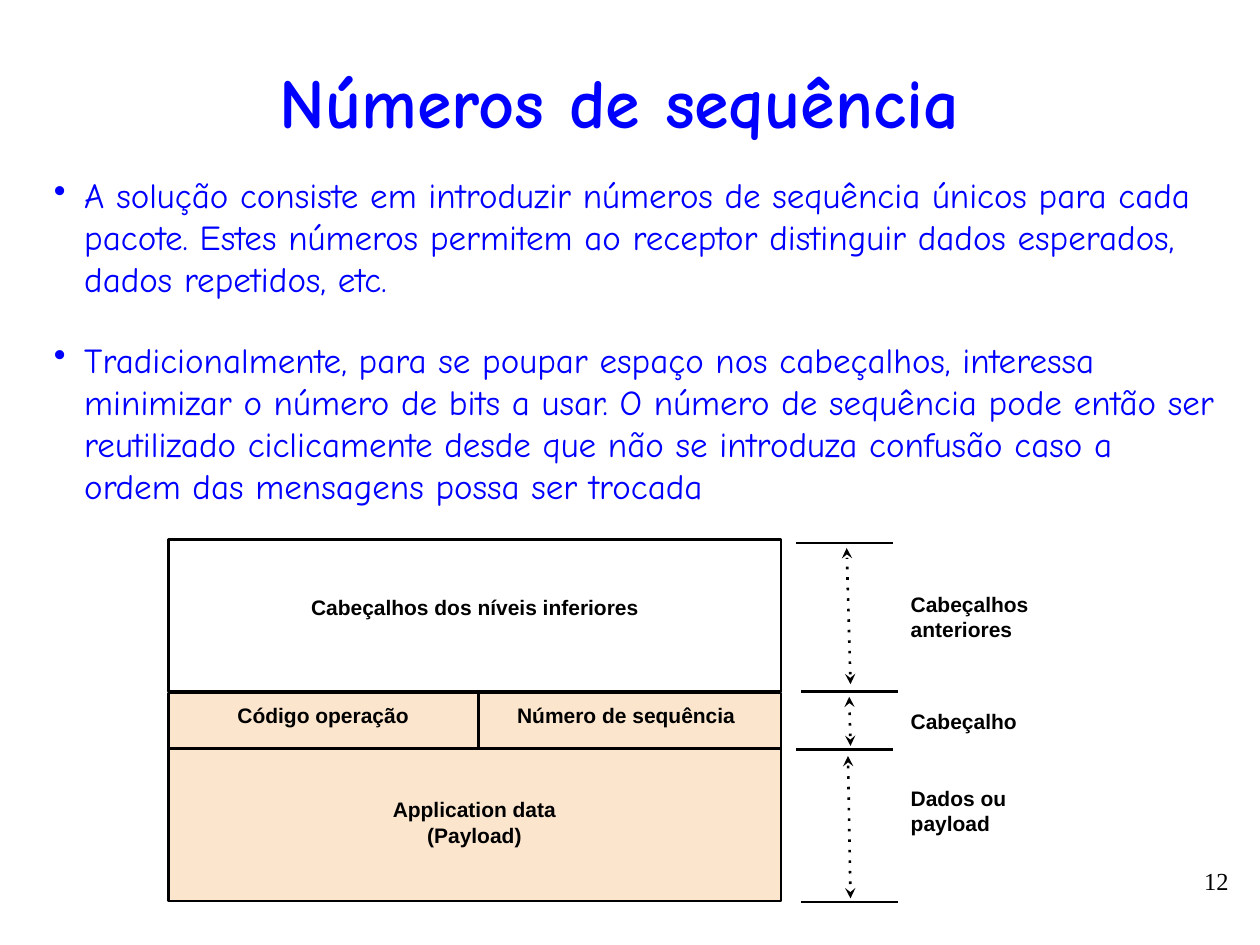
from pptx import Presentation
from pptx import util as u
from pptx.dml.color import RGBColor
from pptx.enum import shapes, text
from pptx.oxml.ns import qn
from lxml import etree

COLORS = {"blue": "0000FF", "black": "000000", "peach": "FCE5CD"}
BODY = [
    "A solução consiste em introduzir números de sequência únicos para cada pacote. "
    "Estes números permitem ao receptor distinguir dados esperados, dados repetidos, etc.",
    "Tradicionalmente, para se poupar espaço nos cabeçalhos, interessa minimizar o número "
    "de bits a usar. O número de sequência pode então ser reutilizado ciclicamente desde "
    "que não se introduza confusão caso a ordem das mensagens possa ser trocada",
]
LEFT, ALIGN, ANCHOR = text.PP_ALIGN.LEFT, text.PP_ALIGN, text.MSO_ANCHOR


def color(name):
    return RGBColor.from_string(COLORS[name])


def add_child(parent, tag, **attrs):
    return etree.SubElement(parent, qn(tag), attrs)


def add_text(s, box, lines, size, font, name="black", bold=False, align=LEFT,
             anchor=ANCHOR.TOP, inset=0.05):
    tf = s.shapes.add_textbox(*map(u.Inches, box)).text_frame
    tf.word_wrap = True
    tf.vertical_anchor = anchor
    tf.margin_left = tf.margin_right = u.Inches(0.1)
    tf.margin_top = tf.margin_bottom = u.Inches(inset)
    tf.text = "\n".join(lines)
    for p in tf.paragraphs:
        p.alignment = align
        p.font.size = u.Pt(size)
        p.font.name = font
        p.font.bold = bold
        p.font.color.rgb = color(name)
    return tf


def add_bullets(s, box, lines):
    tf = add_text(s, box, lines, 20, "Comic Neue", "blue")
    for i, p in enumerate(tf.paragraphs):
        p.space_before = u.Pt(22 if i else 0)
        pPr = p._p.get_or_add_pPr()
        pPr.set("marL", str(u.Inches(0.24)))
        pPr.set("indent", str(u.Inches(-0.24)))
        bullet_color = etree.Element(qn("a:buClr"))
        add_child(bullet_color, "a:srgbClr", val=COLORS["blue"])
        bullet = etree.Element(qn("a:buChar"), {"char": "•"})
        at = list(pPr).index(pPr.find(qn("a:defRPr")))
        pPr[at:at] = [bullet_color, bullet]


def add_label(s, box, *lines, align=LEFT):
    add_text(s, box, lines, 12, "Arial", bold=True, align=align,
             anchor=ANCHOR.MIDDLE, inset=0.1)


def add_field(s, box, fill=None):
    sp = s.shapes.add_shape(shapes.MSO_SHAPE.RECTANGLE, *map(u.Inches, box))
    sp.shadow.inherit = False
    if fill:
        sp.fill.solid()
        sp.fill.fore_color.rgb = color(fill)
    else:
        sp.fill.background()
    sp.line.color.rgb = color("black")
    sp.line.width = u.Pt(1.5)


def add_line(s, start, end):
    line = s.shapes.add_connector(shapes.MSO_CONNECTOR.STRAIGHT,
                                  *map(u.Inches, start + end))
    line.line.color.rgb = color("black")
    line.line.width = u.Pt(1.5)
    add_child(line._element.spPr, "a:effectLst")
    return line


def add_span_arrow(s, start, end):
    ln = add_line(s, start, end).line._get_or_add_ln()
    add_child(ln, "a:prstDash", val="dot")
    for tag in ("a:headEnd", "a:tailEnd"):
        add_child(ln, tag, type="stealth")


def add_packet(s):
    add_field(s, (3.8, 5.5, 2.4, 0.45), "peach")
    add_field(s, (1.34, 5.5, 2.46, 0.45), "peach")
    add_field(s, (1.34, 4.28, 4.86, 1.21))
    add_field(s, (1.34, 5.94, 4.86, 1.21), "peach")
    for box, label in [
        ((2.25, 4.56, 3.04, 0.51), "Cabeçalhos dos níveis inferiores"),
        ((1.46, 5.42, 2.21, 0.51), "Código operação"),
        ((3.97, 5.42, 2, 0.51), "Número de sequência"),
        ((2.74, 6.27, 2.05, 0.51), "Application data (Payload)"),
    ]:
        add_label(s, box, label, align=ALIGN.CENTER)


def add_spans(s):
    for x, y in [(6.32, 4.31), (6.36, 5.49), (6.32, 5.95), (6.36, 7.16)]:
        add_line(s, (x, y), (x + 0.77, y))
    for start, end in [((6.75, 5.43), (6.72, 4.35)),
                       ((6.75, 5.92), (6.74, 5.53)),
                       ((6.73, 6), (6.75, 7.13))]:
        add_span_arrow(s, start, end)
    for y, lines in [(4.64, ("Cabeçalhos", "anteriores")),
                     (5.47, ("Cabeçalho",)),
                     (6.18, ("Dados ou payload",))]:
        add_label(s, (7.13, y, 1.53, 0.51), *lines)


def main():
    prs = Presentation()
    prs.slide_width, prs.slide_height = u.Inches(10), u.Inches(7.5)
    s = prs.slides.add_slide(prs.slide_layouts[6])
    add_text(s, (0.33, 0.42, 9.17, 0.75), ["Números de sequência"], 40, "Comic Neue",
             "blue", bold=True, align=ALIGN.CENTER, anchor=ANCHOR.MIDDLE)
    add_bullets(s, (0.33, 1.33, 9.42, 6), BODY)
    add_text(s, (7.52, 6.82, 2.33, 0.52), ["12"], 14, "Times New Roman",
             align=ALIGN.RIGHT)
    add_packet(s)
    add_spans(s)
    prs.save("out.pptx")


if __name__ == "__main__":
    main()
